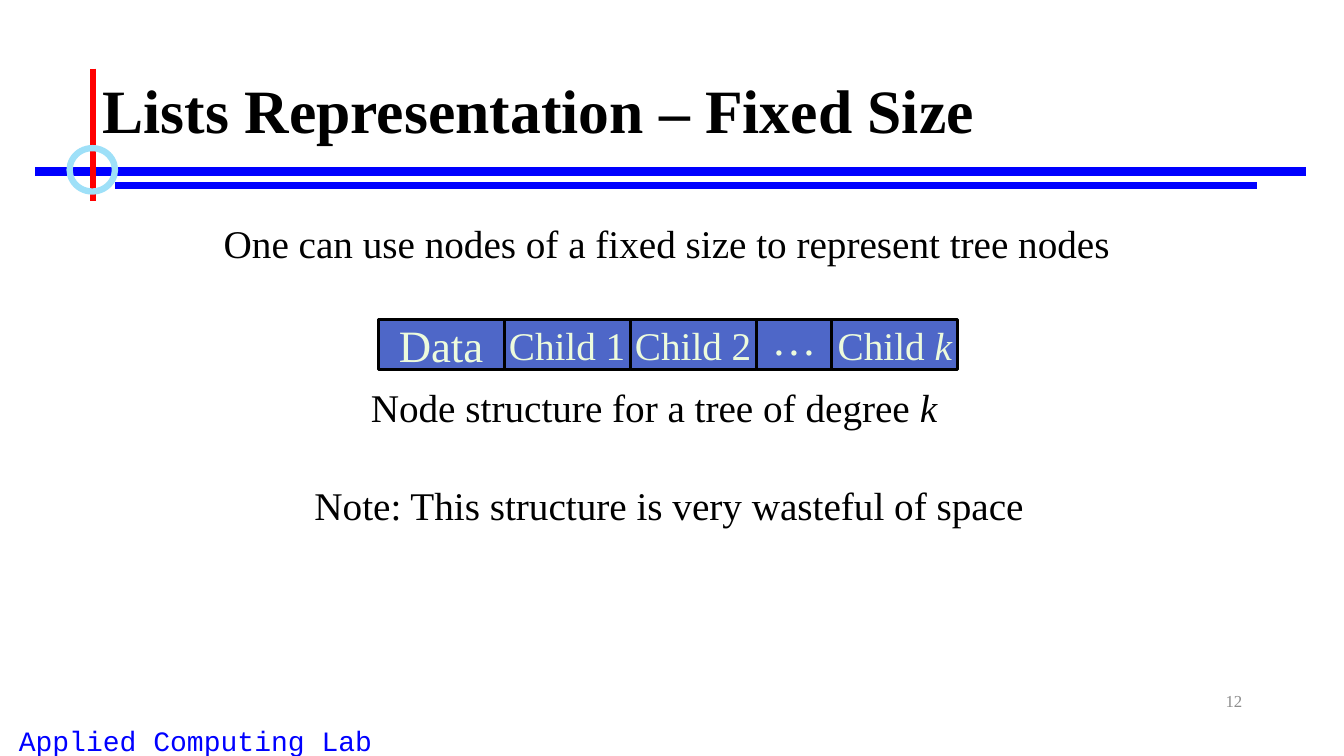
import pptx
import pptx.util
import pptx.dml.color
import pptx.enum.shapes
import pptx.enum.text
from lxml import etree

Inches, Pt = pptx.util.Inches, pptx.util.Pt
ALIGN = pptx.enum.text.PP_ALIGN
ANCHOR = pptx.enum.text.MSO_ANCHOR
SHAPE = pptx.enum.shapes.MSO_SHAPE
SERIF = "Times New Roman"

deck = pptx.Presentation()
deck.slide_width, deck.slide_height = Inches(13.33), Inches(7.5)
slide = deck.slides.add_slide(deck.slide_layouts[6])


def color(hex_value):
    return pptx.dml.color.RGBColor.from_string(hex_value)


def write(holder, runs, size, ink="000000", align=ALIGN.LEFT,
          anchor=ANCHOR.TOP, wrap=False, font=SERIF, bold=None):
    """Fill a shape or text box with one paragraph of (text, italic) runs."""
    frame = holder.text_frame
    frame.word_wrap = wrap
    frame.vertical_anchor = anchor
    paragraph = frame.paragraphs[0]
    paragraph.alignment = align
    for text, italic in runs:
        run = paragraph.add_run()
        run.text = text
        run.font.name, run.font.size = font, Pt(size)
        run.font.bold, run.font.italic = bold, italic
        run.font.color.rgb = color(ink)
    return paragraph


# Lab name at the foot
lab = slide.shapes.add_textbox(Inches(-0.58), Inches(7.13), Inches(5.04), Inches(0.43))
write(lab, [("Applied Computing Lab", None)], 20, "0000FF", ALIGN.CENTER,
      wrap=True, font="Courier New")

# Crossed rules and ring around the title
rules = [
    (0.35, 1.7, 12.95, 1.7, "0000FF", 6),
    (1.14, 1.84, 12.47, 1.84, "0000FF", 4.5),
    (0.92, 0.68, 0.92, 1.99, "FF0000", 4.5),
]
for x1, y1, x2, y2, ink, weight in rules:
    rule = slide.shapes.add_connector(
        pptx.enum.shapes.MSO_CONNECTOR.STRAIGHT,
        Inches(x1), Inches(y1), Inches(x2), Inches(y2))
    rule.line.color.rgb = color(ink)
    rule.line.width = Pt(weight)
    etree.SubElement(rule.element.spPr, pptx.oxml.ns.qn("a:effectLst"))

ring = slide.shapes.add_shape(SHAPE.OVAL, Inches(0.69), Inches(1.47),
                              Inches(0.45), Inches(0.43))
ring.shadow.inherit = False
ring.fill.background()
ring.line.color.rgb = color("9EE0F8")
ring.line.width = Pt(4.5)

# Title and page number
title = slide.shapes.add_textbox(Inches(0.92), Inches(0.4), Inches(11.5), Inches(1.45))
heading = write(title, [("Lists Representation – Fixed Size", None)], 44,
                anchor=ANCHOR.MIDDLE, wrap=True, bold=True)
heading.line_spacing = 0.9

page = slide.shapes.add_textbox(Inches(9.42), Inches(6.75), Inches(3), Inches(0.4))
write(page, [("12", None)], 12, "8C8C8C", ALIGN.RIGHT, ANCHOR.MIDDLE, wrap=True)

# Statements above and below the node
statements = [
    (2.12, 2.13, 9.18, [("One can use nodes of a fixed size to represent tree nodes", None)]),
    (3.58, 3.75, 5.9, [("Node structure for a tree of degree ", None), ("k", True)]),
    (3.02, 4.73, 7.31, [("Note: This structure is very wasteful of space", None)]),
]
for left, top, width, runs in statements:
    statement = slide.shapes.add_textbox(Inches(left), Inches(top),
                                         Inches(width), Inches(0.57))
    write(statement, runs, 28)
    statement.text_frame.auto_size = pptx.enum.text.MSO_AUTO_SIZE.SHAPE_TO_FIT_TEXT

# Node fields, laid side by side in quarter-inch columns
COLUMN = 0.25
fields = [
    (5, 32, ANCHOR.MIDDLE, [("Data", None)]),
    (5, 28, ANCHOR.MIDDLE, [("Child 1", None)]),
    (5, 28, ANCHOR.MIDDLE, [("Child 2", None)]),
    (3, 32, ANCHOR.BOTTOM, [("…", None)]),
    (5, 28, ANCHOR.MIDDLE, [("Child ", None), ("k", True)]),
]
field_left = 15 * COLUMN
for columns, size, anchor, runs in fields:
    field = slide.shapes.add_shape(SHAPE.RECTANGLE, Inches(field_left), Inches(3.17),
                                   Inches(columns * COLUMN), Inches(2 * COLUMN))
    field.shadow.inherit = False
    field.fill.solid()
    field.fill.fore_color.rgb = color("4E67C8")
    field.line.color.rgb = color("000000")
    field.line.width = Pt(2.25)
    write(field, runs, size, "EDFBDC", ALIGN.CENTER, anchor)
    field_left += columns * COLUMN

deck.save("out.pptx")
